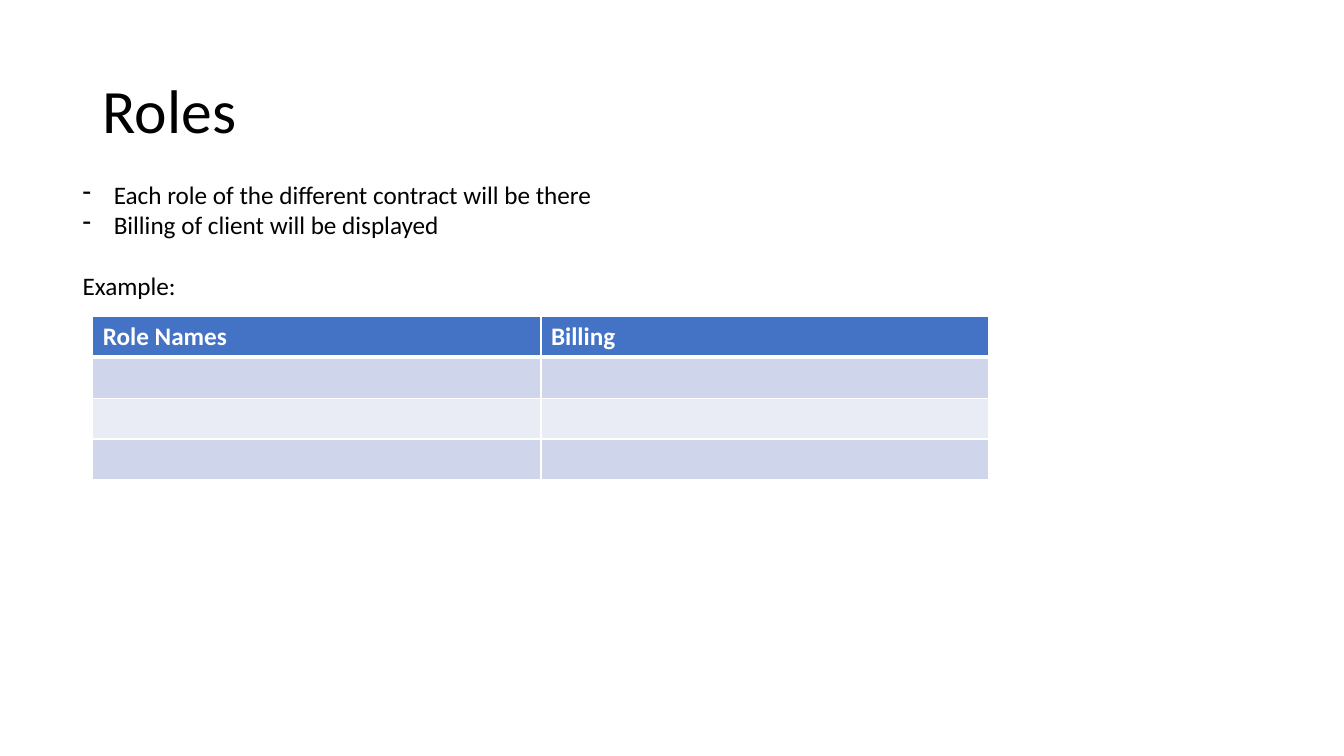
from pptx import Presentation
from pptx.dml.color import RGBColor
from pptx.enum.text import MSO_ANCHOR
from pptx.oxml import parse_xml
from pptx.oxml.ns import nsdecls
from pptx.util import Inches, Pt

BLACK = RGBColor(0x00, 0x00, 0x00)
WHITE = RGBColor(0xFF, 0xFF, 0xFF)
BLUE = RGBColor(0x44, 0x72, 0xC4)
BANDS = (RGBColor(0xCF, 0xD5, 0xEA), RGBColor(0xE9, 0xEB, 0xF5))


class Page:
    """Holds the text style and the current slide."""

    font = "Calibri"
    size = 18
    indent = 0.31

    def __init__(self, slide):
        """Keep the slide to draw on."""
        self.slide = slide

    def run(self, para, text, size=size, color=BLACK, bold=False):
        """Add one styled run to a paragraph."""
        run = para.add_run()
        run.text = text
        run.font.name = self.font
        run.font.size = Pt(size)
        run.font.bold = bold
        run.font.color.rgb = color

    def box(self, left, top, width, height, anchor=MSO_ANCHOR.TOP):
        """Add a wrapping text box and return its frame."""
        shape = self.slide.shapes.add_textbox(
            Inches(left), Inches(top), Inches(width), Inches(height))
        frame = shape.text_frame
        frame.word_wrap = True
        frame.vertical_anchor = anchor
        return frame

    def title(self, text, *place):
        """Add the slide title."""
        para = self.box(*place, anchor=MSO_ANCHOR.MIDDLE).paragraphs[0]
        para.line_spacing = 0.9
        self.run(para, text, size=44)

    def notes(self, points, label, *place):
        """Add dashed points, then a label set one line apart."""
        frame = self.box(*place)
        para = frame.paragraphs[0]
        for point in points:
            self.dash(para)
            self.run(para, point)
            para = frame.add_paragraph()
        para.space_before = Pt(22)
        self.run(para, label)

    def dash(self, para):
        """Give a paragraph a hanging dash."""
        props = para._p.get_or_add_pPr()
        props.set("marL", str(Inches(self.indent)))
        props.set("indent", str(-Inches(self.indent)))
        for xml in ('<a:buFontTx %s/>', '<a:buChar %s char="-"/>'):
            props.append(parse_xml(xml % nsdecls("a")))

    def edge(self, cell, bottom):
        """Draw white cell borders, with a given bottom width."""
        props = cell._tc.get_or_add_tcPr()
        widths = {"L": 1, "R": 1, "T": 1, "B": bottom}
        for spot, (side, width) in enumerate(widths.items()):
            props.insert(spot, parse_xml(
                f'<a:ln{side} {nsdecls("a")} w="{Pt(width)}"><a:solidFill>'
                f'<a:srgbClr val="{WHITE}"/></a:solidFill></a:ln{side}>'))

    def table(self, heads, blanks, left, top, width, height):
        """Add a table with a header and empty banded rows."""
        grid = self.slide.shapes.add_table(
            blanks + 1, len(heads), Inches(left), Inches(top),
            Inches(width), Inches(height)).table
        for index, row in enumerate(grid.rows):
            for cell, head in zip(row.cells, heads):
                cell.fill.solid()
                if index == 0:
                    cell.fill.fore_color.rgb = BLUE
                    self.run(cell.text_frame.paragraphs[0], head,
                             color=WHITE, bold=True)
                else:
                    cell.fill.fore_color.rgb = BANDS[(index - 1) % 2]
                self.edge(cell, 1 if index else 3)


def main():
    """Build the roles slide."""
    deck = Presentation()
    deck.slide_width, deck.slide_height = Inches(13.33), Inches(7.5)
    page = Page(deck.slides.add_slide(deck.slide_layouts[6]))
    page.title("Roles", 0.92, 0.4, 11.5, 1.45)
    points = ("Each role of the different contract will be there",
              "Billing of client will be displayed")
    page.notes(points, "Example:", 0.72, 1.73, 11.89, 1.62)
    page.table(("Role Names", "Billing"), 3, 0.92, 3.14, 8.89, 1.62)
    deck.save("out.pptx")


main()
